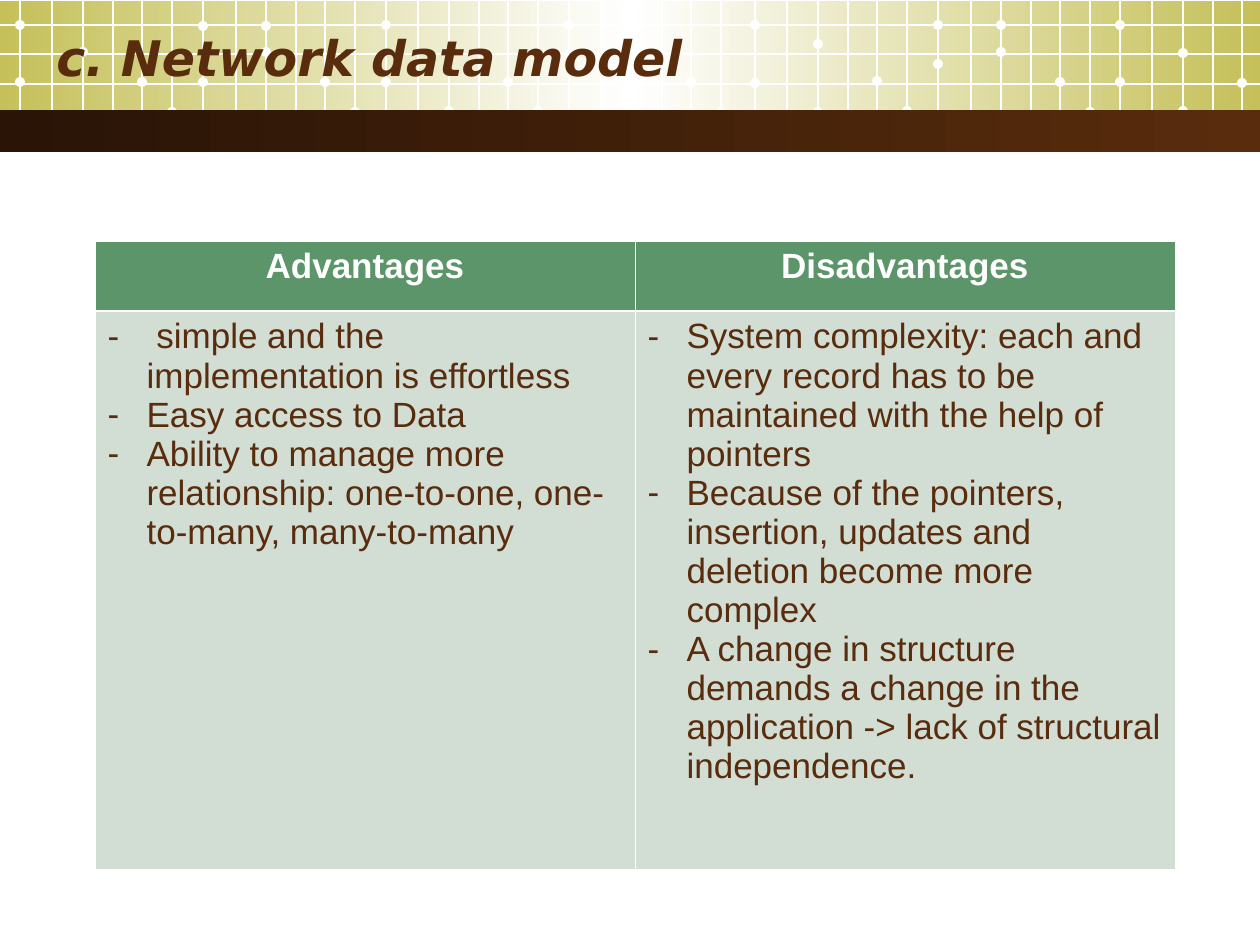
from lxml.etree import SubElement
from pptx import Presentation
from pptx.dml.color import RGBColor
from pptx.enum.shapes import MSO_CONNECTOR as LINK, MSO_SHAPE as SHAPE
from pptx.enum.text import MSO_ANCHOR as ANCHOR, PP_ALIGN as ALIGN
from pptx.oxml.ns import qn
from pptx.util import Emu, Pt


def px(value):
    return Emu(value * 914400 // 126)


def rgb(value):
    return RGBColor.from_string(value)


class Deck:
    brown, white, olive, dark = "592C0D", "FFFFFF", "C5C059", "291406"
    green, pale = "5B9569", "D2DDD4"
    title_style = {"name": "DejaVu Sans", "size": Pt(28), "bold": True, "italic": True}
    head_style = {"name": "Arial", "size": Pt(20), "bold": True}
    body_style = {"name": "Arial", "size": Pt(20), "bold": False}

    def __init__(self):
        self.file = Presentation()
        self.file.slide_width, self.file.slide_height = px(1260), px(945)
        self.slide = self.file.slides.add_slide(self.file.slide_layouts[6])
        self.shapes = self.slide.shapes

    def shape(self, kind, x, y, w, h):
        item = self.shapes.add_shape(kind, px(x), px(y), px(w), px(h))
        item.shadow.inherit = False
        item.line.fill.background()
        return item

    def band(self, y, height, colours):
        band = self.shape(SHAPE.RECTANGLE, 0, y, 1260, height)
        band.fill.gradient()
        band.fill.gradient_angle = 0
        stops = band._element.spPr.find(".//" + qn("a:gsLst"))
        for stop in list(stops):
            stops.remove(stop)
        for i, colour in enumerate(colours):
            stop = SubElement(stops, qn("a:gs"), pos=str(100000 * i // (len(colours) - 1)))
            SubElement(stop, qn("a:srgbClr"), val=colour)

    def dot(self, x, y):
        dot = self.shape(SHAPE.OVAL, x - 5, y - 5, 10, 10)
        dot.fill.solid()
        dot.fill.fore_color.rgb = rgb(self.white)

    def line(self, x1, y1, x2, y2):
        line = self.shapes.add_connector(LINK.STRAIGHT, px(x1), px(y1), px(x2), px(y2))
        line.line.color.rgb = rgb(self.white)
        line.line.width = Pt(0.74)
        SubElement(line._element.spPr, qn("a:effectLst"))

    def text(self, paragraph, words, style, colour):
        run = paragraph.add_run()
        run.text = words
        for key, value in style.items():
            setattr(run.font, key, value)
        run.font.color.rgb = rgb(colour)

    def title(self, words, x, y, w, h):
        frame = self.shapes.add_textbox(px(x), px(y), px(w), px(h)).text_frame
        frame.word_wrap = True
        frame.vertical_anchor = ANCHOR.MIDDLE
        self.text(frame.paragraphs[0], words, self.title_style, self.brown)

    def bullet(self, paragraph):
        props = paragraph._p.get_or_add_pPr()
        props.set("marL", str(px(39)))
        props.set("indent", str(-px(39)))
        colour = SubElement(props, qn("a:buClr"))
        SubElement(colour, qn("a:srgbClr"), val=self.brown)
        SubElement(props, qn("a:buFont"), typeface="Arial")
        SubElement(props, qn("a:buChar"), char="-")

    def borders(self, cell, widths):
        props = cell._tc.get_or_add_tcPr()
        for i, (side, width) in enumerate(widths.items()):
            edge = SubElement(props, qn("a:ln" + side), w=str(Pt(width)))
            fill = SubElement(edge, qn("a:solidFill"))
            SubElement(fill, qn("a:srgbClr"), val=self.white)
            props.insert(i, edge)

    def fill_cell(self, cell, lines, is_head):
        cell.fill.solid()
        cell.fill.fore_color.rgb = rgb(self.green if is_head else self.pale)
        thin, thick = 0.45, 1.47
        self.borders(cell, {"L": thin, "R": thin, "T": thin if is_head else thick,
                            "B": thick if is_head else thin})
        frame = cell.text_frame
        for i, words in enumerate(lines):
            paragraph = frame.add_paragraph() if i else frame.paragraphs[0]
            if is_head:
                paragraph.alignment = ALIGN.CENTER
                self.text(paragraph, words, self.head_style, self.white)
            else:
                self.bullet(paragraph)
                self.text(paragraph, words, self.body_style, self.brown)

    def table(self, columns, x, y, width, heights):
        table = self.shapes.add_table(2, len(columns), px(x), px(y),
                                      px(width * len(columns)), px(sum(heights))).table
        for row, height in zip(table.rows, heights):
            row.height = px(height)
        for i, (heading, points) in enumerate(columns.items()):
            table.columns[i].width = px(width)
            self.fill_cell(table.cell(0, i), [heading], True)
            self.fill_cell(table.cell(1, i), points, False)


GRID_STEPS = [0, 32, 63, 93, 122, 152, 183, 216, 246, 276, 305, 335]
DOT_STEPS = [0, 0, 63, 63, 122, 152, 183, 183, 246, 246, 305, 335]
DOT_HEIGHTS = {
    20: [82, 25, 52, 115, 82, 112, 82, 26, 52, 26, 82, 112],
    386: [82, 25, 52, 111, 82, 111, 54, 25, 53, 25, 82, 112],
    755: [83, 25, 44, 112, 81, 111, 64, 25, 52, 25, 82, 112],
    1120: [82, 25, 53, 111, 83],
}
COMPARISON = {
    "Advantages": [
        " simple and the implementation is effortless",
        "Easy access to Data",
        "Ability to manage more relationship: one-to-one, one-to-many, many-to-many",
    ],
    "Disadvantages": [
        "System complexity: each and every record has to be maintained with the help of pointers",
        "Because of the pointers, insertion, updates and deletion become more complex",
        "A change in structure demands a change in the application -> lack of structural "
        "independence.",
    ],
}

deck = Deck()
deck.band(1, 129, [deck.olive, deck.white, deck.olive])
for start, heights in DOT_HEIGHTS.items():
    for step, height in zip(DOT_STEPS, heights):
        deck.dot(start + step, height)
    for step in GRID_STEPS:
        if start + step < 1260:
            deck.line(start + step, 0, start + step, 139)
for height in (25, 54, 84, 112):
    deck.line(0, height, 1260, height)
deck.band(110, 42, [deck.dark, deck.brown])
deck.title("c. Network data model", 44, 7, 1152, 100)
deck.table(COMPARISON, 95, 241, 540, [70, 558])
deck.file.save("out.pptx")
